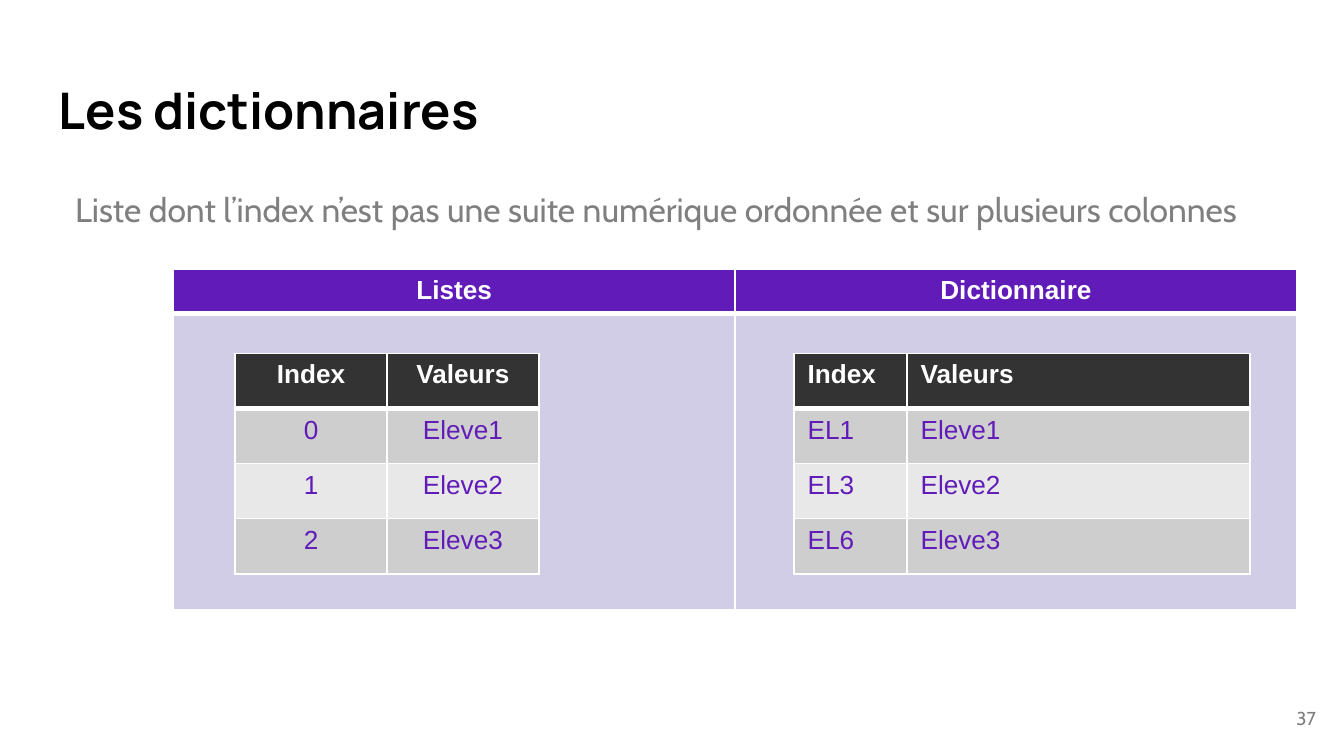
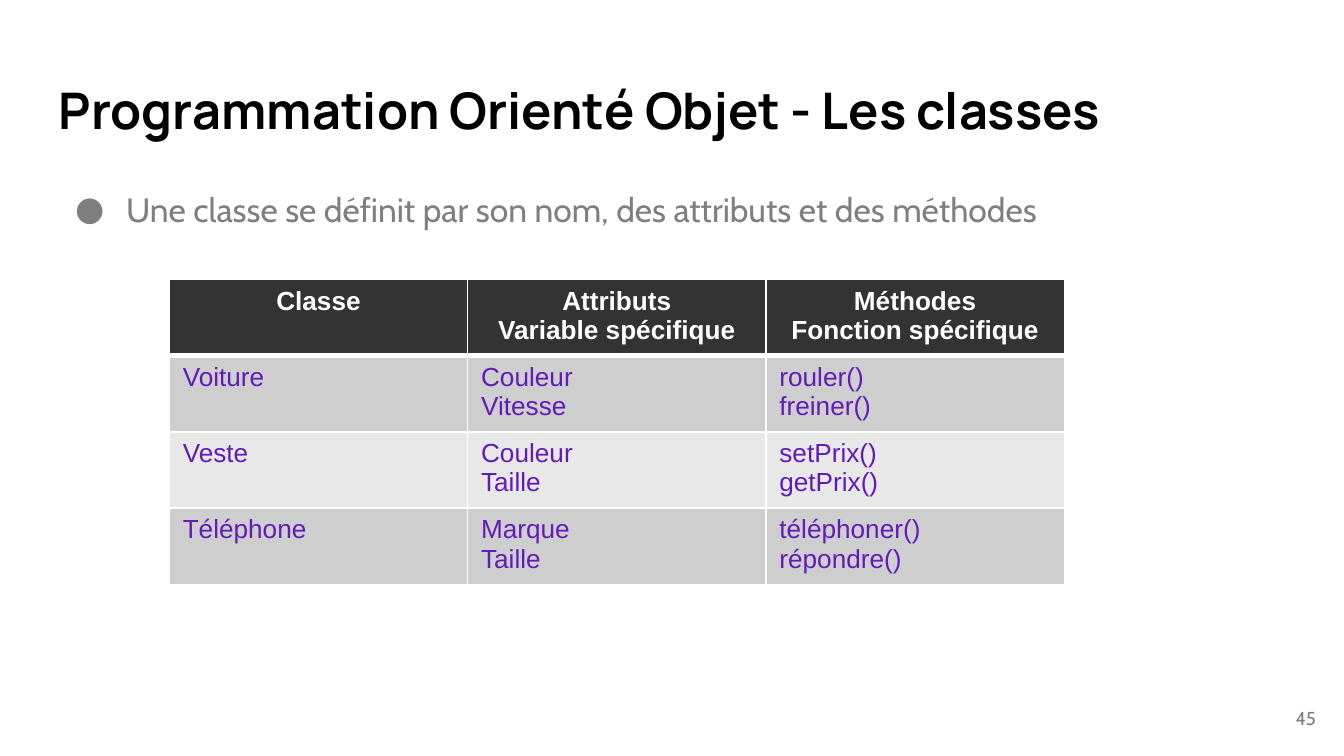
"""Build two course slides on dictionaries and classes."""
import pptx
import pptx.dml.color
import pptx.enum.text
import pptx.oxml
import pptx.oxml.ns
import pptx.util
from pptx.util import Inches

PURPLE, LILAC = "611BB8", "D2CDE6"
DARK, MID, PALE = "333333", "CECECE", "E8E8E8"
WHITE, BLACK, GREY = "FFFFFF", "000000", "7F7F7F"
LEFT = pptx.enum.text.PP_ALIGN.LEFT
CENTER = pptx.enum.text.PP_ALIGN.CENTER
RIGHT = pptx.enum.text.PP_ALIGN.RIGHT
TOP = pptx.enum.text.MSO_ANCHOR.TOP
MIDDLE = pptx.enum.text.MSO_ANCHOR.MIDDLE


def paint(color, code):
    """Set a colour from a hex string."""
    color.rgb = pptx.dml.color.RGBColor.from_string(code)


def node(text):
    """Make a drawing element from short XML with the a prefix."""
    head, tail = text.split(" ", 1)
    return pptx.oxml.parse_xml(f"{head} {pptx.oxml.ns.nsdecls('a')} {tail}")


def write(frame, text, font="Arial", size=14, color=PURPLE, bold=False,
          align=LEFT, space=None, margin=0, indent=0, bullet=None):
    """Fill a text frame with one paragraph per line of text."""
    for i, line in enumerate(text.split("\n")):
        para = frame.add_paragraph() if i else frame.paragraphs[0]
        para.alignment = align
        if space:
            para.line_spacing = space
        run = para.add_run()
        run.text = line
        run.font.name, run.font.size = font, pptx.util.Pt(size)
        run.font.bold = bold
        paint(run.font.color, color)
        props = para._p.get_or_add_pPr()
        props.set("marL", str(Inches(margin)))
        props.set("indent", str(Inches(indent)))
        if bullet:
            props.append(node(f'<a:buClr ><a:srgbClr val="{color}"/></a:buClr>'))
            props.append(node(f'<a:buFont typeface="{font}"/>'))
            props.append(node(f'<a:buChar char="{bullet}"/>'))


def box(slide, place, text, anchor=TOP, **style):
    """Add a wrapped text box with even insets."""
    frame = slide.shapes.add_textbox(*map(Inches, place)).text_frame
    frame.word_wrap = True
    frame.vertical_anchor = anchor
    frame.margin_left = frame.margin_right = Inches(0.1)
    frame.margin_top = frame.margin_bottom = Inches(0.1)
    write(frame, text, **style)


def edge(cell, base):
    """Draw white borders round a cell with the given bottom width."""
    props = cell._tc.get_or_add_tcPr()
    for i, (side, width) in enumerate(zip("LRTB", (1, 1, 1, base))):
        props.insert(i, node(
            f'<a:ln{side} w="{pptx.util.Pt(width)}"><a:solidFill>'
            f'<a:srgbClr val="{WHITE}"/></a:solidFill></a:ln{side}>'))


def grid(slide, place, cols, rows, data, head=DARK, bands=(MID, PALE),
         align=LEFT, title=CENTER):
    """Add a table with a bold header and banded rows."""
    shape = slide.shapes.add_table(len(rows), len(cols), *map(Inches, place))
    table = shape.table
    for col, width in zip(table.columns, cols):
        col.width = Inches(width)
    for r, (height, line) in enumerate(zip(rows, data)):
        table.rows[r].height = Inches(height)
        for c, text in enumerate(line):
            cell = table.cell(r, c)
            cell.fill.solid()
            paint(cell.fill.fore_color, bands[(r - 1) % len(bands)] if r else head)
            edge(cell, 1 if r else 3)
            if text:
                write(cell.text_frame, text, bold=r == 0,
                      color=PURPLE if r else WHITE,
                      align=align if r else title)
    shape.width, shape.height = map(Inches, place[2:])


def page(deck, title, body, number, width=9.32, **style):
    """Add a slide with its title, body line and page number."""
    slide = deck.slides.add_slide(deck.slide_layouts[6])
    slide.background.fill.solid()
    paint(slide.background.fill.fore_color, WHITE)
    box(slide, (0.34, 0.49, 9.32, 0.68), title,
        font="Manrope", size=27, color=BLACK, bold=True)
    box(slide, (0.34, 1.26, width, 3.74), body,
        font="Cabin", size=18, color=GREY, space=1.15, **style)
    box(slide, (9.29, 5.13, 0.6, 0.43), str(number), anchor=MIDDLE,
        font="Cabin", size=10, color=GREY, align=RIGHT)
    return slide


def dicts(deck):
    """Build the slide that sets lists beside dictionaries."""
    slide = page(deck, "Les dictionnaires",
                 "Liste dont l’index n’est pas une suite numérique ordonnée "
                 "et sur plusieurs colonnes", 37, margin=0.12)
    grid(slide, (1.29, 2, 8.37, 2.54), [4.18] * 2, [0.33, 2.2],
         [("Listes", "Dictionnaire"), ("", "")], head=PURPLE, bands=(LILAC,))
    for left, cols, align, keys in (
            (1.75, (1.13, 1.13), CENTER, ("0", "1", "2")),
            (5.91, (0.84, 2.55), LEFT, ("EL1", "EL3", "EL6"))):
        data = [("Index", "Valeurs")]
        data += [(key, f"Eleve{i}") for i, key in enumerate(keys, 1)]
        grid(slide, (left, 2.63, sum(cols), 1.62), cols, [0.41] * 4, data,
             align=align, title=align)


def classes(deck):
    """Build the slide on classes, attributes and methods."""
    slide = page(deck, "Programmation Orienté Objet - Les classes",
                 "Une classe se définit par son nom, des attributs et des méthodes",
                 45, width=8.86, margin=0.5, indent=-0.38, bullet="●")
    grid(slide, (1.26, 2.08, 6.67, 2.27), [2.22] * 3, [0.41] * 4, [
        ("Classe", "Attributs\nVariable spécifique", "Méthodes\nFonction spécifique"),
        ("Voiture", "Couleur\nVitesse", "rouler()\nfreiner()"),
        ("Veste", "Couleur\nTaille", "setPrix()\ngetPrix()"),
        ("Téléphone", "Marque\nTaille", "téléphoner()\nrépondre()")])


def main():
    """Build and save the deck."""
    deck = pptx.Presentation()
    deck.slide_width = Inches(10)
    deck.slide_height = deck.slide_width * 9 // 16
    dicts(deck)
    classes(deck)
    deck.save("out.pptx")


if __name__ == "__main__":
    main()
